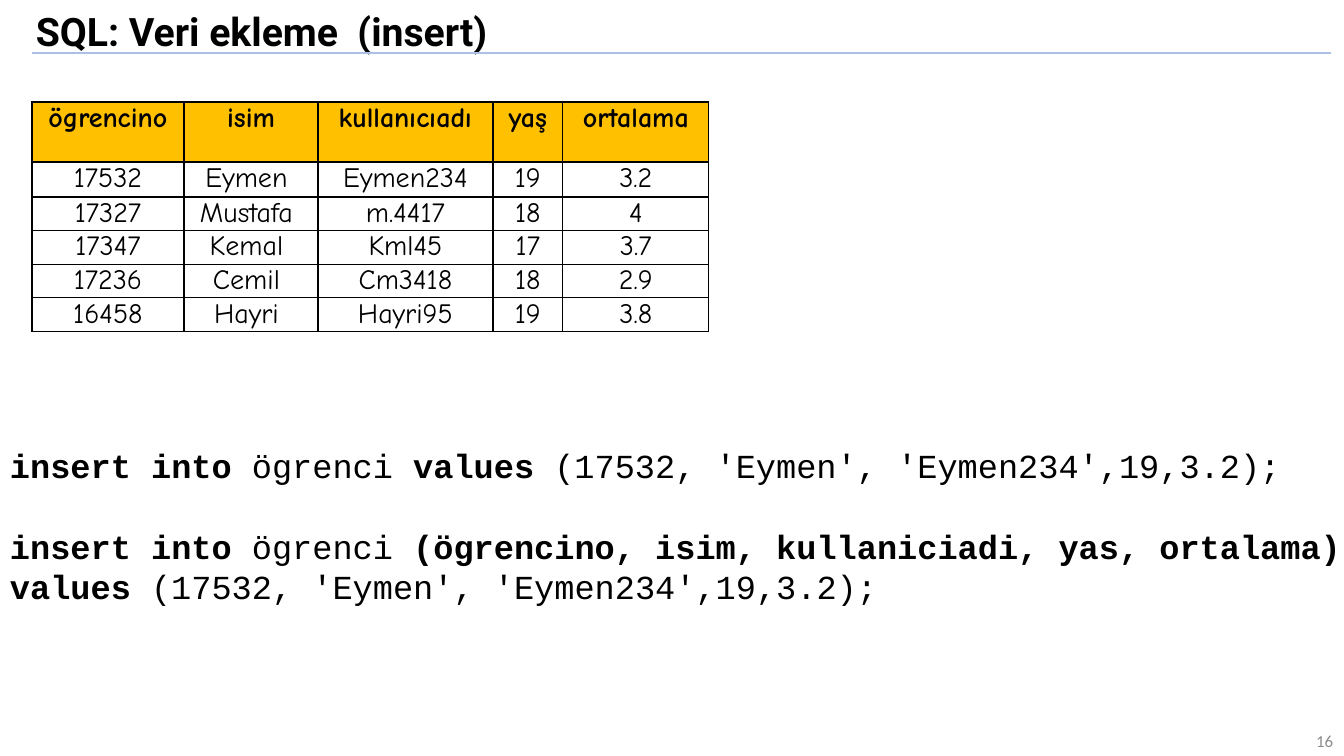
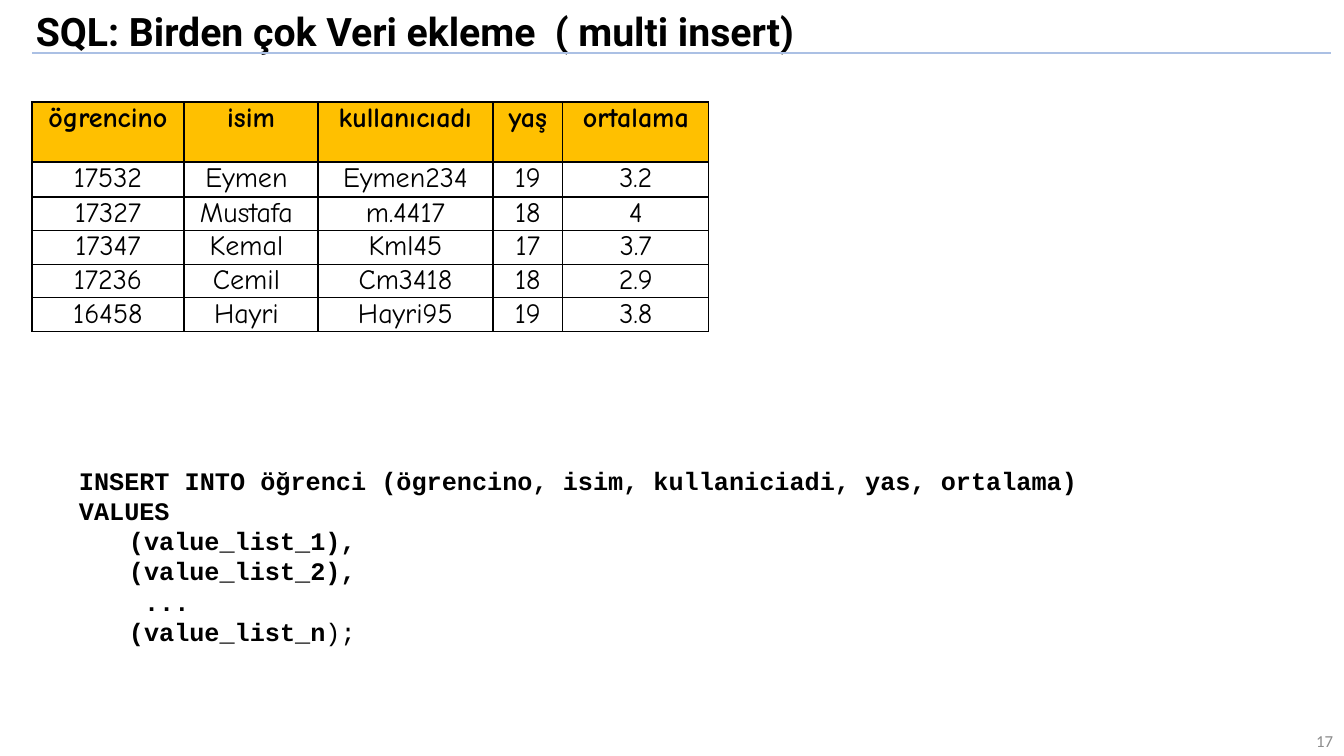
import pptx
import pptx.util
import pptx.dml.color
import pptx.enum.shapes
import pptx.enum.text
import pptx.oxml
import pptx.oxml.ns

ALIGN = pptx.enum.text.PP_ALIGN
ANCHOR = pptx.enum.text.MSO_ANCHOR

# Shared look
BLACK, WHITE, RULE, HEADER, GREY = "000000", "FFFFFF", "ABC0E4", "FFC000", "8C8C8C"
TITLE_FONT, TABLE_FONT, CODE_FONT, NUMBER_FONT = "Roboto", "Comic Neue", "Courier New", "Calibri"
SLIDE_W, SLIDE_H = 1344, 756
TITLE_BOX = (26, 4, 1188, 59)
RULE_X1, RULE_X2, RULE_Y = 32, 1331, 53
NUMBER_BOX = (1041, 728, 302, 25)

# Student table, shown on both slides
TABLE_AT = (32, 102)
COL_W = [152, 134, 175, 70, 146]
ROW_H = [60, 35, 32, 32, 32, 32]
CELL_PAD, NAME_PAD = 7, 16
NAME_COL = 1
STUDENTS = [
    ("ögrencino", "isim", "kullanıcıadı", "yaş", "ortalama"),
    ("17532", "Eymen", "Eymen234", "19", "3.2"),
    ("17327", "Mustafa", "m.4417", "18", "4"),
    ("17347", "Kemal", "Kml45", "17", "3.7"),
    ("17236", "Cemil", "Cm3418", "18", "2.9"),
    ("16458", "Hayri", "Hayri95", "19", "3.8"),
]

# Code lines: (indent px, space before pt, [(text, bold), ...])
VALUES = " (17532, 'Eymen', 'Eymen234',19,3.2);"
SLIDES = [
    {
        "title": "SQL: Veri ekleme  (insert)",
        "number": 16,
        "code_box": (0, 440, 1344, 171),
        "code_size": 24,
        "code": [
            (0, 0, [("insert into ", True), ("ögrenci ", False), ("values", True), (VALUES, False)]),
            (0, 29, [("insert into ", True), ("ögrenci ", False),
                     ("(ögrencino, isim, kullaniciadi, yas, ortalama)", True)]),
            (0, 0, [("values", True), (VALUES, False)]),
        ],
    },
    {
        "title": "SQL: Birden çok Veri ekleme  ( multi insert)",
        "number": 17,
        "code_box": (69, 460, 1212, 193),
        "code_size": 18,
        "code": [
            (0, 0, [("INSERT INTO öğrenci (ögrencino, isim, kullaniciadi, yas, ortalama)", True)]),
            (0, 0, [("VALUES", True)]),
            (50, 0, [("(value_list_1),", True)]),
            (50, 0, [("(value_list_2),", True)]),
            (50, 0, [(" ...", True)]),
            (50, 0, [("(value_list_n", True), (");", False)]),
        ],
    },
]


def px(n):
    return pptx.util.Emu(round(n * 914400 / 100.8))


def rgb(color):
    return pptx.dml.color.RGBColor.from_string(color)


def set_font(font, name, size, color, bold=None):
    font.name, font.size, font.bold = name, pptx.util.Pt(size), bold
    font.color.rgb = rgb(color)


def add_box(s, box, anchor):
    sp = s.shapes.add_textbox(*map(px, box))
    sp.text_frame.word_wrap = True
    sp.text_frame.vertical_anchor = anchor
    return sp


def add_title(s, text):
    sp = add_box(s, TITLE_BOX, ANCHOR.MIDDLE)
    sp.fill.solid()
    sp.fill.fore_color.rgb = rgb(WHITE)
    p = sp.text_frame.paragraphs[0]
    p.text, p.line_spacing, p.space_after = text, 0.9, pptx.util.Pt(6)
    set_font(p.font, TITLE_FONT, 28, BLACK, True)
    line = s.shapes.add_connector(pptx.enum.shapes.MSO_CONNECTOR.STRAIGHT,
                                  px(RULE_X1), px(RULE_Y), px(RULE_X2), px(RULE_Y))
    line.line.color.rgb = rgb(RULE)
    line.line.width = pptx.util.Pt(1.75)
    line._element.spPr.append(pptx.oxml.parse_xml(
        f'<a:effectLst {pptx.oxml.ns.nsdecls("a")}/>'))


def add_borders(cell):
    tc_pr = cell._tc.get_or_add_tcPr()
    for i, side in enumerate("LRTB"):
        tc_pr.insert(i, pptx.oxml.parse_xml(
            f'<a:ln{side} {pptx.oxml.ns.nsdecls("a")} w="12700"><a:solidFill>'
            f'<a:srgbClr val="{BLACK}"/></a:solidFill></a:ln{side}>'))


def add_students(s):
    table = s.shapes.add_table(len(ROW_H), len(COL_W), *map(px, TABLE_AT),
                               px(sum(COL_W)), px(sum(ROW_H))).table
    for col, w in zip(table.columns, COL_W):
        col.width = px(w)
    for r, (row, h) in enumerate(zip(STUDENTS, ROW_H)):
        table.rows[r].height = px(h)
        for c, text in enumerate(row):
            cell = table.cell(r, c)
            cell.margin_left = px(CELL_PAD)
            cell.margin_right = px(NAME_PAD if r and c == NAME_COL else CELL_PAD)
            cell.margin_top = cell.margin_bottom = 0
            if r == 0:
                cell.fill.solid()
                cell.fill.fore_color.rgb = rgb(HEADER)
            else:
                cell.fill.background()
            add_borders(cell)
            p = cell.text_frame.paragraphs[0]
            p.text, p.alignment = text, ALIGN.CENTER
            set_font(p.font, TABLE_FONT, 20, BLACK, r == 0)


def add_code(s, box, size, lines):
    tf = add_box(s, box, ANCHOR.TOP).text_frame
    tf.margin_right = 0
    for i, (indent, gap, runs) in enumerate(lines):
        p = tf.add_paragraph() if i else tf.paragraphs[0]
        p.space_before = pptx.util.Pt(gap)
        p._p.get_or_add_pPr().set("marL", str(px(indent)))
        for text, bold in runs:
            r = p.add_run()
            r.text = text
            set_font(r.font, CODE_FONT, size, BLACK, bold)


def add_number(s, number):
    p = add_box(s, NUMBER_BOX, ANCHOR.MIDDLE).text_frame.paragraphs[0]
    p.text, p.alignment = str(number), ALIGN.RIGHT
    set_font(p.font, NUMBER_FONT, 12, GREY)


def main():
    prs = pptx.Presentation()
    prs.slide_width, prs.slide_height = px(SLIDE_W), px(SLIDE_H)
    for content in SLIDES:
        s = prs.slides.add_slide(prs.slide_layouts[6])
        add_title(s, content["title"])
        add_students(s)
        add_code(s, content["code_box"], content["code_size"], content["code"])
        add_number(s, content["number"])
    prs.save("out.pptx")


if __name__ == "__main__":
    main()
